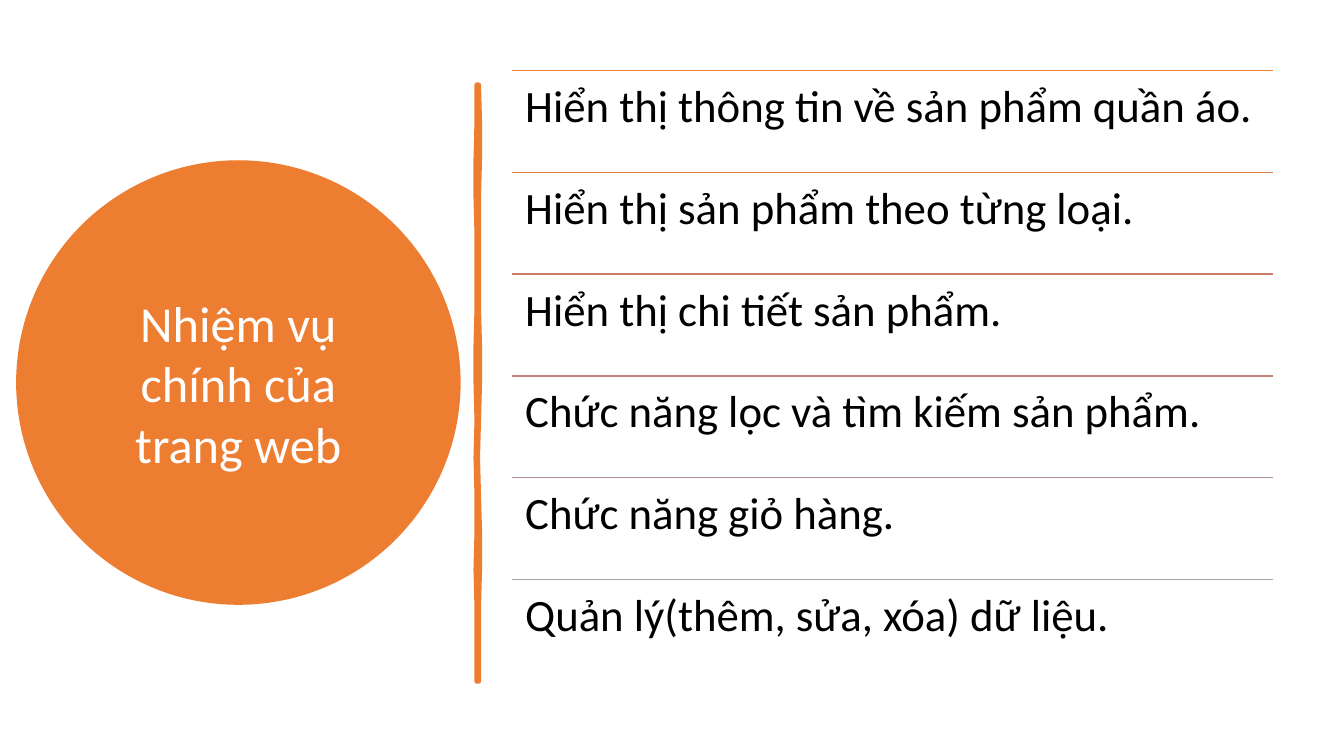
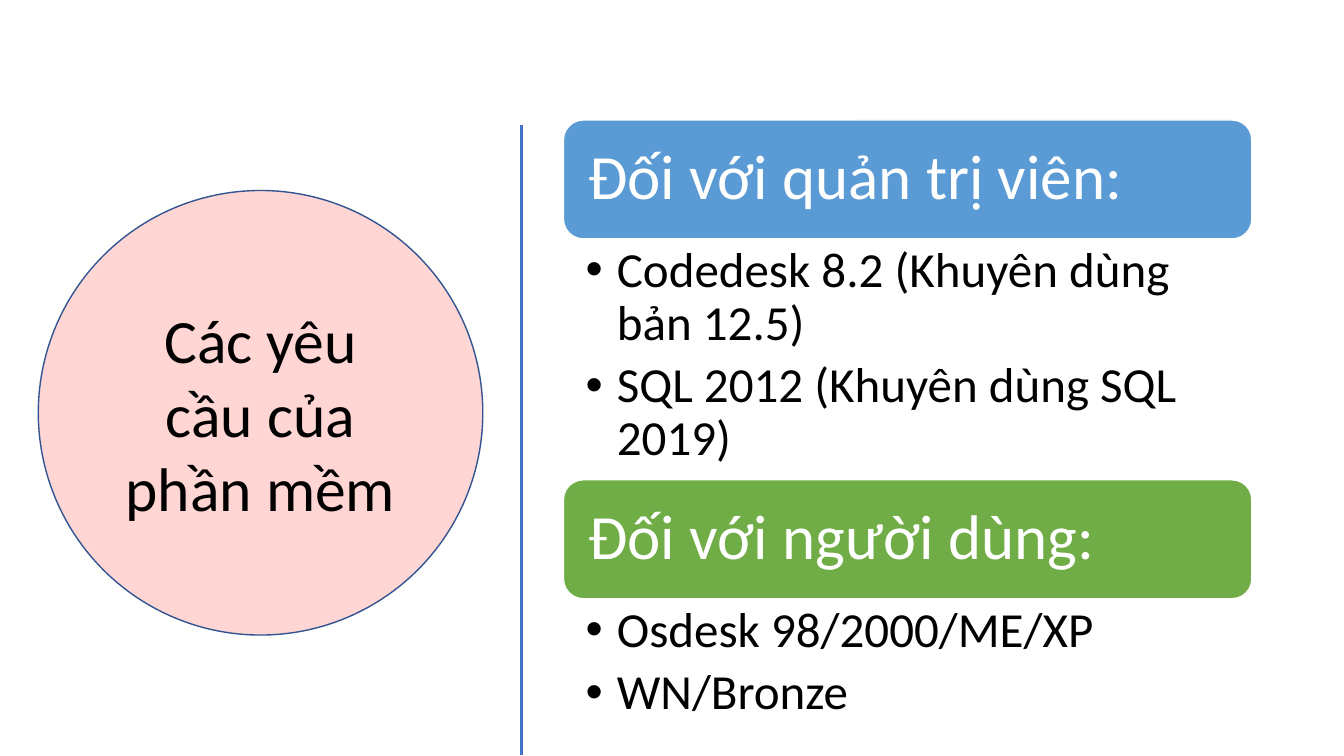
from dataclasses import dataclass

from lxml.etree import SubElement
from pptx import Presentation
from pptx.dml.color import RGBColor
from pptx.enum.shapes import MSO_CONNECTOR as Conn, MSO_SHAPE as Preset
from pptx.enum.text import MSO_ANCHOR as Anchor, MSO_AUTO_SIZE as AutoSize, PP_ALIGN as Align
from pptx.oxml.ns import qn
from pptx.util import Emu, Pt

PX = 9144  # one px is a hundredth of an inch
FONT = "Calibri"

WHITE = RGBColor(0xFF, 0xFF, 0xFF)
BLACK = RGBColor(0x00, 0x00, 0x00)
ORANGE = RGBColor(0xED, 0x7D, 0x31)
BLUE = RGBColor(0x5B, 0x9B, 0xD5)
GREEN = RGBColor(0x70, 0xAD, 0x47)
PINK = RGBColor(0xFF, 0xD6, 0xD3)
NAVY = RGBColor(0x32, 0x54, 0x91)
DIVIDER_BLUE = RGBColor(0x44, 0x72, 0xC4)

CIRCLE = 441
CIRCLE_INSET = 65  # from the circle's box to its inscribed square


@dataclass(frozen=True)
class Task:
    text: str
    rule: RGBColor


@dataclass(frozen=True)
class Requirement:
    heading: str
    fill: RGBColor
    top: int
    body_height: int
    items: tuple[str, ...]


TASKS = (
    Task("Hiển thị thông tin về sản phẩm quần áo.", ORANGE),
    Task("Hiển thị sản phẩm theo từng loại.", RGBColor(0xDC, 0x7A, 0x4B)),
    Task("Hiển thị chi tiết sản phẩm.", RGBColor(0xCC, 0x7D, 0x64)),
    Task("Chức năng lọc và tìm kiếm sản phẩm.", RGBColor(0xBD, 0x86, 0x7B)),
    Task("Chức năng giỏ hàng.", RGBColor(0xB0, 0x93, 0x91)),
    Task("Quản lý(thêm, sửa, xóa) dữ liệu.", RGBColor(0xA5, 0xA5, 0xA5)),
)
REQUIREMENTS = (
    Requirement("Đối với quản trị viên:", BLUE, 119, 239,
                ("Codedesk 8.2 (Khuyên dùng bản 12.5)", "SQL 2012 (Khuyên dùng SQL 2019)")),
    Requirement("Đối với người dùng:", GREEN, 476, 132,
                ("Osdesk 98/2000/ME/XP", "WN/Bronze")),
)


def px(*lengths: int) -> list[Emu]:
    return [Emu(n * PX) for n in lengths]


def paint(shape, fill: RGBColor, line: RGBColor | None = None, width: float = 1) -> None:
    shape.shadow.inherit = False
    shape.fill.solid()
    shape.fill.fore_color.rgb = fill
    if line is None:
        shape.line.fill.background()
    else:
        shape.line.color.rgb = line
        shape.line.width = Pt(width)


def add_line(s, x1: int, y1: int, x2: int, y2: int, color: RGBColor, width: float) -> None:
    line = s.shapes.add_connector(Conn.STRAIGHT, *px(x1, y1, x2, y2))
    line.line.color.rgb = color
    line.line.width = Pt(width)
    SubElement(line._element.spPr, qn("a:effectLst"))


def write(tf, texts: tuple[str, ...], size: int, color: RGBColor, margins: tuple[int, ...],
          anchor=Anchor.TOP, align=Align.LEFT, spacing: float = 0.9, bullets: bool = False) -> None:
    left, top, right, bottom = px(*margins)
    frame_format = {"word_wrap": True, "auto_size": AutoSize.NONE, "vertical_anchor": anchor,
                    "margin_left": left, "margin_top": top,
                    "margin_right": right, "margin_bottom": bottom}
    for name, value in frame_format.items():
        setattr(tf, name, value)
    for i, text in enumerate(texts):
        p = tf.add_paragraph() if i else tf.paragraphs[0]
        p.alignment, p.line_spacing = align, spacing
        r = p.add_run()
        r.text = text
        for name, value in {"name": FONT, "size": Pt(size)}.items():
            setattr(r.font, name, value)
        r.font.color.rgb = color
        if bullets:
            p.space_after = Pt(7)
            pPr = p._p.get_or_add_pPr()
            indent = 31 * PX
            pPr.set("marL", str(indent))
            pPr.set("indent", str(-indent))
            SubElement(pPr, qn("a:buFont"), typeface="Arial")
            SubElement(pPr, qn("a:buChar"), char="•")


def add_title_slide(prs, title: str, left: int, top: int, size: int, color: RGBColor,
                    fill: RGBColor, line: RGBColor | None = None):
    """Add a slide whose title sits in a large circle."""
    s = prs.slides.add_slide(prs.slide_layouts[5])
    circle = s.shapes.add_shape(Preset.OVAL, *px(left, top, CIRCLE, CIRCLE))
    paint(circle, fill, line)
    sp = s.shapes.title
    side = CIRCLE - 2 * CIRCLE_INSET
    sp.left, sp.top, sp.width, sp.height = px(left + CIRCLE_INSET, top + CIRCLE_INSET, side, side)
    write(sp.text_frame, (title,), size, color, (10, 5, 10, 5), Anchor.MIDDLE, Align.CENTER, 1.0)
    s.shapes._spTree.append(sp._element)  # title in front of its circle
    return s


def add_brush_stroke(s) -> None:
    top, step = 84, 37
    right = (0, 1, 1, 0, 0, 0, 0, 1, 1, 0, -1, 0, 1, 1, 0, 0, 0)
    left = (0, 0, -1, -1, 0, 0, 0, -1, -1, 0, -1, 0, 0, -1, 0, 0, 0)
    edge = [(475 + dx, top + i * step) for i, dx in enumerate(right)]
    edge += [(473 + dx, top + i * step) for i, dx in reversed(list(enumerate(left)))]
    outline = s.shapes.build_freeform(*edge[0], scale=PX)
    outline.add_line_segments(edge[1:], close=True)
    paint(outline.convert_to_shape(), ORANGE, ORANGE, 3.25)


def build_tasks(prs) -> None:
    s = add_title_slide(prs, "Nhiệm vụ chính của trang web", 16, 159, 36, WHITE, ORANGE)
    add_brush_stroke(s)
    left, top, width, row = 508, 70, 755, 101
    for i, task in enumerate(TASKS):
        y = top + i * row
        add_line(s, left, y, left + width, y, task.rule, 1)
        box = s.shapes.add_textbox(*px(left, y, width, row))
        write(box.text_frame, (task.text,), 32, BLACK, (13, 13, 13, 13))


def build_requirements(prs) -> None:
    s = add_title_slide(prs, "Các yêu cầu của phần mềm", 38, 189, 44, BLACK, PINK, NAVY)
    add_line(s, 517, 124, 517, 749, DIVIDER_BLUE, 2)
    left, width, head = 559, 683, 118
    for req in REQUIREMENTS:
        bar = s.shapes.add_shape(Preset.ROUNDED_RECTANGLE, *px(left, req.top, width, head))
        paint(bar, req.fill, WHITE)
        write(bar.text_frame, (req.heading,), 45, WHITE, (19, 19, 19, 19), Anchor.MIDDLE)
        box = s.shapes.add_textbox(*px(left, req.top + head, width, req.body_height))
        write(box.text_frame, req.items, 35, BLACK, (22, 6, 35, 6), bullets=True)


def main() -> None:
    prs = Presentation()
    prs.slide_width, prs.slide_height = Emu(4000 * PX // 3), Emu(750 * PX)
    build_tasks(prs)
    build_requirements(prs)
    prs.save("out.pptx")


if __name__ == "__main__":
    main()
